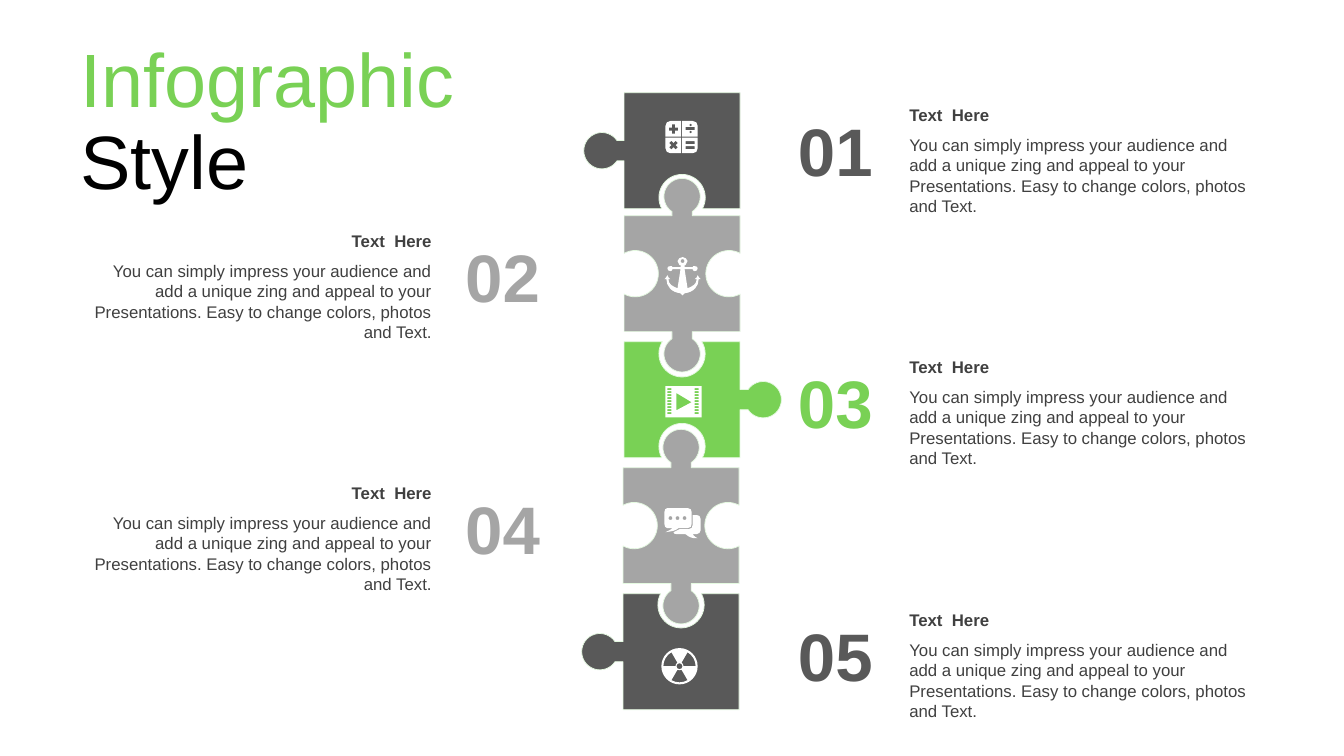
import copy
import math

import pptx
import pptx.dml.color
import pptx.enum.text
import pptx.oxml.ns
import pptx.util

Inches = pptx.util.Inches
ALIGN = pptx.enum.text.PP_ALIGN
qn = pptx.oxml.ns.qn

COLORS = {"dark": "595959", "gray": "A5A5A5", "green": "79D155",
          "edge": "E5FAE1", "white": "FFFFFF", "body": "404040", "black": "000000"}
FONT = "Arial"
TITLE = [("Infographic", "green"), (" Style", "black")]
HEADING = "Text  Here"
BODY = ("You can simply impress your audience and add a unique zing and appeal "
        "to your Presentations. Easy to change colors, photos and Text.")

STEPS = [
    ("01", "dark", "right", 0.99),
    ("02", "gray", "left", 2.24),
    ("03", "green", "right", 3.49),
    ("04", "gray", "left", 4.74),
    ("05", "dark", "right", 6.0),
]
SIDES = {"left": (4.46, 0.7, ALIGN.RIGHT), "right": (7.76, 8.92, ALIGN.LEFT)}

PIECE_SIZE = 1.15
KNOB_RADIUS, NECK_HALF, SOCKET_RADIUS = 0.18, 0.1, 0.23
PIECES = [
    (6.19, 0.92, {"bottom": -0.11, "left": 0.22}),
    (6.19, 2.14, {"top": 0.19, "right": -0.11, "bottom": 0.22, "left": -0.11}),
    (6.19, 3.39, {"top": -0.12, "right": 0.23, "bottom": -0.11}),
    (6.18, 4.64, {"top": 0.2, "right": -0.11, "bottom": 0.22, "left": -0.11}),
    (6.18, 5.89, {"top": -0.11, "left": 0.23}),
]
EDGE_DIRECTIONS = {"top": (1, 0), "right": (0, 1), "bottom": (-1, 0), "left": (0, -1)}

ANCHOR_HALF = [
    (6.77, 2.55), (6.79, 2.55, 6.82, 2.57, 6.82, 2.59),
    (6.82, 2.61, 6.81, 2.62, 6.8, 2.63), (6.79, 2.63), (6.79, 2.65), (6.87, 2.65),
    (6.87, 2.64, 6.88, 2.64, 6.89, 2.64), (6.91, 2.64, 6.92, 2.65, 6.92, 2.66),
    (6.92, 2.68, 6.91, 2.69, 6.89, 2.69), (6.88, 2.69, 6.87, 2.68, 6.87, 2.67),
    (6.79, 2.67), (6.82, 2.86), (6.87, 2.84, 6.91, 2.82, 6.91, 2.77),
    (6.89, 2.77), (6.9, 2.76, 6.92, 2.75, 6.92, 2.73),
    (6.93, 2.75, 6.94, 2.76, 6.95, 2.77), (6.93, 2.77),
    (6.93, 2.84, 6.88, 2.9, 6.79, 2.91), (6.78, 2.92, 6.78, 2.92, 6.77, 2.93),
]
FRONT_BUBBLE = [
    (6.62, 5.04), (6.82, 5.04), (6.85, 5.04, 6.86, 5.06, 6.86, 5.08), (6.86, 5.2),
    (6.86, 5.22, 6.85, 5.24, 6.82, 5.24), (6.73, 5.24),
    (6.69, 5.27, 6.67, 5.27, 6.6, 5.28), (6.64, 5.26, 6.65, 5.26, 6.67, 5.24),
    (6.62, 5.24), (6.6, 5.24, 6.59, 5.22, 6.59, 5.2), (6.59, 5.08),
    (6.59, 5.06, 6.6, 5.04, 6.62, 5.04),
]
BACK_BUBBLE = [
    (6.87, 5.11), (6.91, 5.11), (6.93, 5.11, 6.95, 5.12, 6.95, 5.15), (6.95, 5.26),
    (6.95, 5.28, 6.93, 5.3, 6.91, 5.3), (6.87, 5.3),
    (6.88, 5.31, 6.88, 5.32, 6.92, 5.34), (6.85, 5.34, 6.84, 5.33, 6.8, 5.3),
    (6.71, 5.3), (6.69, 5.3, 6.68, 5.29, 6.68, 5.28),
    (6.7, 5.27, 6.72, 5.26, 6.74, 5.25), (6.83, 5.25),
    (6.86, 5.25, 6.87, 5.23, 6.87, 5.21),
]


def rgb(color):
    return pptx.dml.color.RGBColor.from_string(COLORS[color])


def pairs(segment):
    return list(zip(segment[::2], segment[1::2]))


def transform(segments, move):
    return [tuple(v for x, y in pairs(s) for v in move(x, y)) for s in segments]


def arc(cx, cy, radius, start, end):
    steps = 4 if abs(end - start) > 90 else 1
    delta = math.radians(end - start) / steps
    pull = 4 / 3 * math.tan(delta / 4)

    def at(angle, tangent=0):
        return (cx + radius * (math.cos(angle) - tangent * math.sin(angle)),
                cy + radius * (math.sin(angle) + tangent * math.cos(angle)))

    angles = [math.radians(start) + delta * i for i in range(steps + 1)]
    return [at(angles[0])] + [at(a, pull) + at(b, -pull) + at(b)
                              for a, b in zip(angles, angles[1:])]


def circle(cx, cy, radius):
    return arc(cx, cy, radius, 0, 360)


def box(left, top, right, bottom):
    return [(left, top), (right, top), (right, bottom), (left, bottom)]


def plus(cx, cy, turn):
    arm, half = 0.045, 0.015
    points = []
    for quarter in range(4):
        a = math.radians(turn + 90 * quarter)
        points += [(cx + x * math.cos(a) - y * math.sin(a),
                    cy + x * math.sin(a) + y * math.cos(a))
                   for x, y in ((arm, -half), (arm, half), (half, half))]
    return points


def edge_profile(depth):
    middle = PIECE_SIZE / 2
    if depth > 0:
        phi = math.degrees(math.asin(NECK_HALF / KNOB_RADIUS))
        knob = arc(middle, depth, KNOB_RADIUS, 270 - phi, phi - 90)
        return [(0, 0), (middle - NECK_HALF, 0), *knob, (middle + NECK_HALF, 0)]
    if depth < 0:
        phi = math.degrees(math.asin(-depth / SOCKET_RADIUS))
        return [(0, 0), *arc(middle, depth, SOCKET_RADIUS, 180 - phi, 360 + phi)]
    return [(0, 0)]


def puzzle_outline(left, top, depths):
    corners = box(left, top, left + PIECE_SIZE, top + PIECE_SIZE)
    outline = []
    for (x, y), (side, (dx, dy)) in zip(corners, EDGE_DIRECTIONS.items()):
        outline += transform(
            edge_profile(depths.get(side, 0)),
            lambda along, out: (x + along * dx + out * dy, y + along * dy - out * dx))
    return outline


def calculator():
    cx, cy = 6.76, 1.36
    key = [(0.005, 0.005), (0.16, 0.005), (0.16, 0.11),
           (0.16, 0.14, 0.14, 0.16, 0.11, 0.16), (0.005, 0.16)]
    contours = [transform(key, lambda x, y: (cx + sx * x, cy + sy * y))
                for sx in (-1, 1) for sy in (-1, 1)]
    contours += [plus(6.68, 1.28, 0), plus(6.68, 1.44, 45)]
    contours += [box(6.8, y, 6.89, y + 0.03) for y in (1.26, 1.4, 1.45)]
    return contours + [circle(6.85, y, 0.015) for y in (1.24, 1.31)]


def anchor():
    mirrored = transform(ANCHOR_HALF, lambda x, y: (2 * 6.77 - x, y))
    returning = []
    for before, segment in reversed(list(zip(mirrored, mirrored[1:]))):
        controls = pairs(segment)[-2::-1]
        returning.append(tuple(v for point in controls for v in point) + before[-2:])
    return [ANCHOR_HALF + returning, circle(6.77, 2.59, 0.02)]


def film():
    holes = [box(x, 3.85 + 0.03 * row, x + 0.04, 3.87 + 0.03 * row)
             for x in (6.62, 6.89) for row in range(9)]
    return [box(6.6, 3.83, 6.96, 4.14), [(6.71, 3.9), (6.86, 3.99), (6.71, 4.07)]] + holes


def bubbles():
    return [FRONT_BUBBLE, BACK_BUBBLE] + [circle(x, 5.14, 0.02) for x in (6.65, 6.72, 6.79)]


def radiation():
    cx, cy = 6.74, 6.61
    blades = [arc(cx, cy, 0.16, a, a + 60) + arc(cx, cy, 0.04, a + 60, a)
              for a in (60, 180, 300)]
    return [circle(cx, cy, 0.18), circle(cx, cy, 0.03)] + blades


def draw(slide, contours, fill, edge=None):
    contours = [[tuple(map(Inches, s)) for s in contour] for contour in contours]
    builder = slide.shapes.build_freeform(*contours[0][0], scale=1.0)
    for index, contour in enumerate(contours):
        if index:
            builder.move_to(*contour[0])
        builder.add_line_segments([s[-2:] for s in contour[1:]], close=True)
    shape = builder.convert_to_shape()
    nodes = list(shape.element.iter(qn("a:moveTo"), qn("a:lnTo")))
    for node, segment in zip(nodes, [s for contour in contours for s in contour]):
        if len(segment) == 6:
            node.tag = qn("a:cubicBezTo")
            for position, (x, y) in enumerate(pairs(segment)[:2]):
                control = copy.deepcopy(node[-1])
                control.set("x", str(x - shape.left))
                control.set("y", str(y - shape.top))
                node.insert(position, control)
    shape.shadow.inherit = False
    shape.fill.solid()
    shape.fill.fore_color.rgb = rgb(fill)
    if edge:
        shape.line.color.rgb = rgb(edge)
        shape.line.width = pptx.util.Pt(0.5)
    else:
        shape.line.fill.background()


def write(slide, area, runs, size, align, bold=False, spacing=None):
    frame = slide.shapes.add_textbox(*map(Inches, area)).text_frame
    frame.word_wrap = True
    paragraph = frame.paragraphs[0]
    paragraph.alignment, paragraph.line_spacing = align, spacing
    paragraph.font.name, paragraph.font.bold = FONT, bold
    paragraph.font.size = pptx.util.Pt(size)
    for text, color in runs:
        run = paragraph.add_run()
        run.text = text
        run.font.color.rgb = rgb(color)


deck = pptx.Presentation()
deck.slide_width, deck.slide_height = Inches(13.33), Inches(7.5)
slide = deck.slides.add_slide(deck.slide_layouts[6])
icons = [calculator, anchor, film, bubbles, radiation]
for (number, color, side, top), piece, icon in zip(STEPS, PIECES, icons):
    draw(slide, [puzzle_outline(*piece)], color, "edge")
    draw(slide, icon(), "white")
    number_left, text_left, align = SIDES[side]
    write(slide, (number_left, top + 0.05, 1.05, 0.91), [(number, color)], 48, ALIGN.CENTER, True)
    write(slide, (text_left, top, 3.68, 0.3), [(HEADING, "body")], 12, align, True)
    write(slide, (text_left, top + 0.3, 3.68, 0.71), [(BODY, "body")], 12, align)
write(slide, (0.7, 0.37, 4.24, 1.65), TITLE, 54, ALIGN.LEFT, spacing=0.9)
deck.save("out.pptx")
